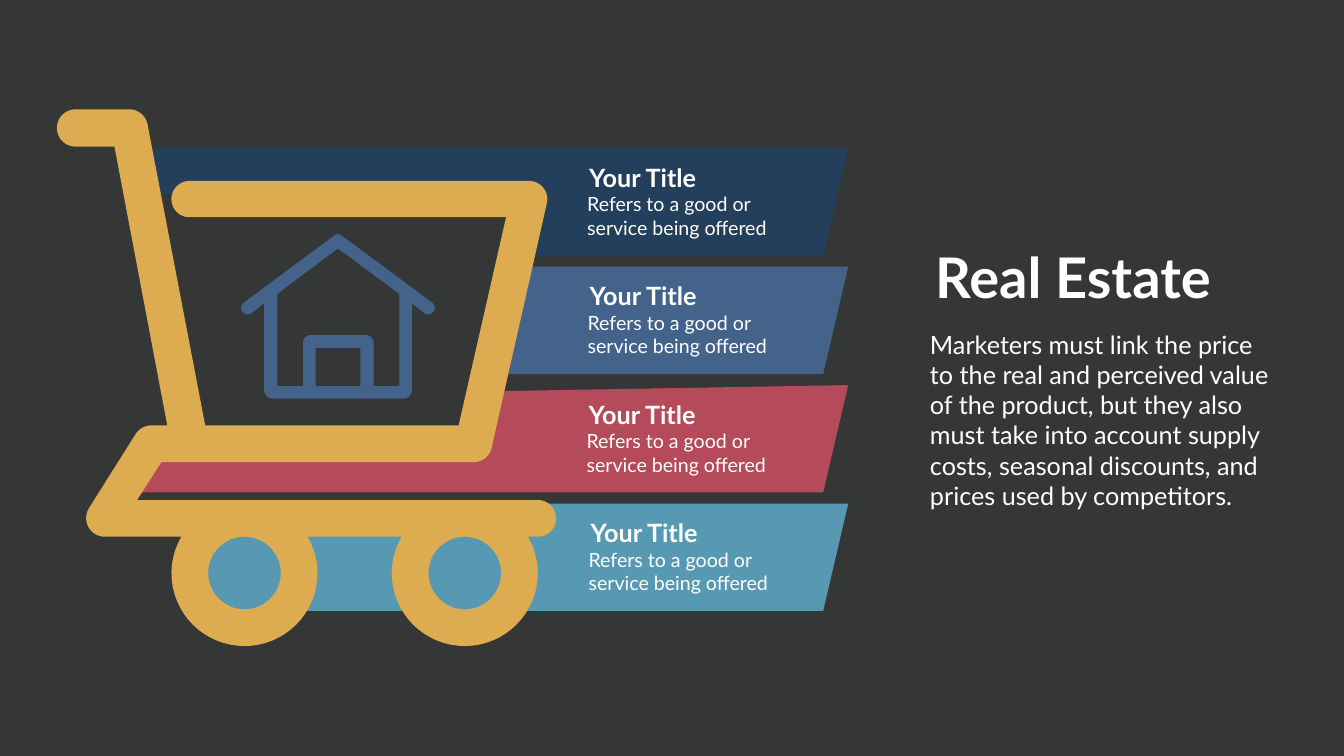
from math import atan2, copysign, cos, pi, sin

from pptx import Presentation
from pptx.dml.color import RGBColor
from pptx.enum.text import PP_ALIGN
from pptx.util import Cm, Pt

LEFT, CENTER = PP_ALIGN.LEFT, PP_ALIGN.CENTER
CHARCOAL = RGBColor(0x35, 0x37, 0x37)
NAVY = RGBColor(0x23, 0x3F, 0x5B)
BLUE = RGBColor(0x44, 0x63, 0x8B)
RED = RGBColor(0xB5, 0x4A, 0x5A)
TEAL = RGBColor(0x57, 0x99, 0xB2)
GOLD = RGBColor(0xDD, 0xAB, 0x50)
WHITE = RGBColor(0xFF, 0xFF, 0xFF)

prs = Presentation()
prs.slide_width, prs.slide_height = Cm(67.72), Cm(38.1)
slide = prs.slides.add_slide(prs.slide_layouts[6])
slide.background.fill.solid()
slide.background.fill.fore_color.rgb = CHARCOAL


def add_outline(contours, color):
    """Fill closed contours of (x, y, corner radius) given in centimetres."""
    builder = None
    for contour in contours:
        points = []
        for i, (x, y, radius) in enumerate(contour):
            before, after = contour[i - 1], contour[(i + 1) % len(contour)]
            angle_in = atan2(before[1] - y, before[0] - x)
            angle_out = atan2(after[1] - y, after[0] - x)
            half = ((angle_out - angle_in + pi) % (2 * pi) - pi) / 2
            side = copysign(1, half)
            reach = radius / sin(abs(half))
            center_x = x + reach * cos(angle_in + half)
            center_y = y + reach * sin(angle_in + half)
            start = angle_in - side * pi / 2
            sweep = -side * (pi - 2 * abs(half))
            for step in range(17) if radius else [0]:
                angle = start + sweep * step / 16
                points.append((Cm(center_x + radius * cos(angle)),
                               Cm(center_y + radius * sin(angle))))
        if builder is None:
            builder = slide.shapes.build_freeform(*points[0])
        else:
            builder.move_to(*points[0])
        builder.add_line_segments(points[1:], close=True)
    shape = builder.convert_to_shape()
    shape.shadow.inherit = False
    shape.fill.solid()
    shape.fill.fore_color.rgb = color
    shape.line.fill.background()


def add_text(text, left, top, width, height, size, bold=False, align=LEFT):
    box = slide.shapes.add_textbox(Cm(left), Cm(top), Cm(width), Cm(height))
    frame = box.text_frame
    frame.word_wrap = True
    frame.text = text
    for paragraph in frame.paragraphs:
        paragraph.alignment = align
        paragraph.font.name = "Lato"
        paragraph.font.size = Pt(size)
        paragraph.font.bold = bold
        paragraph.font.color.rgb = WHITE


BAR_TOP, BAR_STEP, BAR_HEIGHT = 7.47, 5.97, 5.41
bars = [
    (NAVY, 7.11, 7.11, 0, 29.34),
    (BLUE, 9.17, 9.17, 0, 29.36),
    (RED, 10.06, 6.3, 0.56, 29.31),
    (TEAL, 9.17, 9.17, 0, 29.41),
]
for row, (color, top_left, bottom_left, drop, text_left) in enumerate(bars):
    top = BAR_TOP + row * BAR_STEP
    bottom = top + BAR_HEIGHT
    add_outline([[(top_left, top + drop, 0), (42.74, top, 0),
                  (41.48, bottom, 0), (bottom_left, bottom, 0)]], color)

basket = [(7.11, 9.8, 0), (26.52, 9.8, 0), (23.83, 22.56, 0), (9.37, 22.25, 0)]
add_outline([basket], CHARCOAL)

house = [
    (17.03, 11.73, 0.3), (22.02, 15.44, 0.3), (21.64, 15.98, 0.3),
    (20.75, 15.29, 0), (20.75, 20.09, 0.43), (13.31, 20.09, 0.43),
    (13.31, 15.29, 0), (12.42, 15.98, 0.3), (12.04, 15.44, 0.3),
]
room = [
    (20.12, 19.46, 0), (18.82, 19.46, 0), (18.82, 16.89, 0.38),
    (15.27, 16.89, 0.38), (15.27, 19.46, 0), (13.97, 19.46, 0),
    (13.97, 14.81, 0), (17.03, 12.52, 0), (20.12, 14.81, 0),
]
door = [(15.9, 17.53, 0), (18.16, 17.53, 0), (18.16, 19.46, 0), (15.9, 19.46, 0)]
add_outline([house, room, door], BLUE)

cart = [
    (28.02, 25.2, 0.92), (6.91, 25.2, 0), (8.13, 23.29, 0),
    (24.61, 23.29, 0.92), (27.81, 9.12, 0.92), (8.64, 9.12, 0.91),
    (8.64, 10.95, 0.91), (25.5, 10.95, 0), (23.11, 21.44, 0),
    (10.34, 21.44, 0), (7.29, 5.51, 0.94), (2.87, 5.51, 0.94),
    (2.87, 7.39, 0.94), (5.77, 7.39, 0), (8.43, 21.44, 0),
    (7.11, 21.44, 0.94), (3.58, 27.05, 0.94),
]
WHEEL_Y, WHEEL_RADIUS, HUB_RADIUS = 28.88, 3.68, 1.83
hubs = []
for wheel_x in (12.32, 23.42):
    wheel_left, wheel_right = wheel_x - WHEEL_RADIUS, wheel_x + WHEEL_RADIUS
    wheel_bottom = WHEEL_Y + WHEEL_RADIUS
    cart += [
        (wheel_x - 3.18, 27.05, 0), (wheel_left, 27.89, WHEEL_RADIUS),
        (wheel_left, wheel_bottom, WHEEL_RADIUS),
        (wheel_right, wheel_bottom, WHEEL_RADIUS),
        (wheel_right, 27.89, WHEEL_RADIUS), (wheel_x + 3.18, 27.05, 0),
    ]
    hubs.append([(wheel_x + dx * HUB_RADIUS, WHEEL_Y + dy * HUB_RADIUS, HUB_RADIUS)
                 for dx, dy in ((-1, -1), (1, -1), (1, 1), (-1, 1))])
cart.append((28.02, 27.05, 0.92))
add_outline([cart, *hubs], GOLD)

for row, (color, top_left, bottom_left, drop, text_left) in enumerate(bars):
    title_top = 8.05 + row * BAR_STEP
    add_text("Refers to a good or\nservice being offered",
             text_left, title_top + 1.52, 9.96, 2.57, size=28)
    add_text("Your Title", text_left + 0.1, title_top, 6.45, 1.3, size=36, bold=True)

add_text("Real Estate", 46.63, 12.12, 14.88, 3.68, size=80, bold=True, align=CENTER)
add_text("Marketers must link the price to the real and perceived value of the "
         "product, but they also must take into account supply costs, seasonal "
         "discounts, and prices used by competitors.",
         46.61, 16.46, 17.81, 9.27, size=36)

prs.save("out.pptx")
